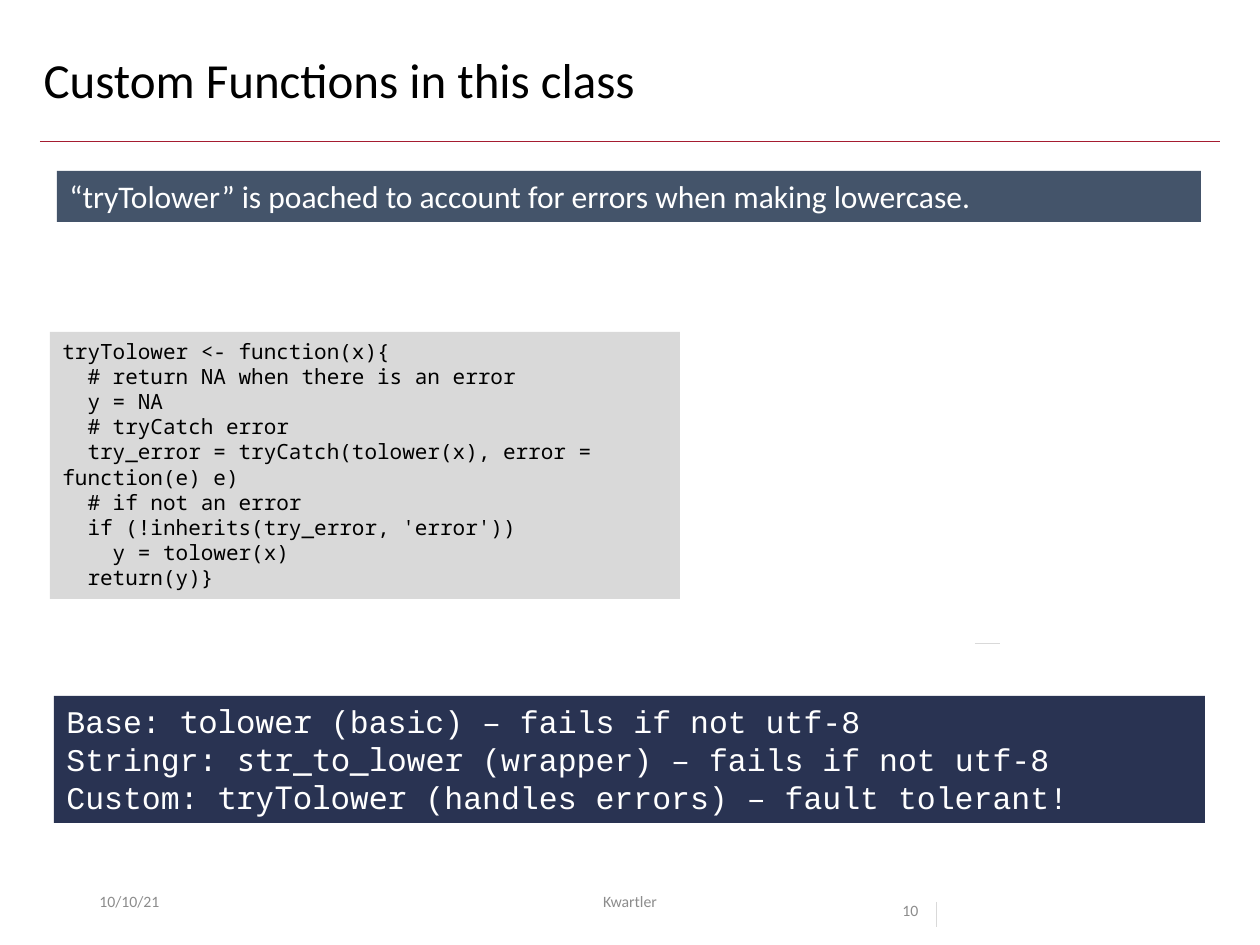
from lxml.etree import SubElement
from pptx import Presentation
from pptx.dml.color import RGBColor
from pptx.enum.shapes import MSO_CONNECTOR, MSO_SHAPE
from pptx.enum.text import MSO_ANCHOR, MSO_AUTO_SIZE, PP_ALIGN
from pptx.oxml.ns import qn
from pptx.util import Pt

PX = 914400 // 126
SANS, COURIER, MONO = "Calibri", "Courier New", "Noto Sans Mono"


def color(hex_code):
    return RGBColor.from_string(hex_code)


def write(frame, paragraphs, size, hex_code, align=PP_ALIGN.LEFT, spacing=None):
    """Fill a text frame; each paragraph is a list of (text, font) runs."""
    frame.word_wrap = True
    for i, runs in enumerate(paragraphs):
        paragraph = frame.add_paragraph() if i else frame.paragraphs[0]
        paragraph.alignment = align
        if spacing:
            paragraph.line_spacing = spacing
        for text, font in runs:
            run = paragraph.add_run()
            run.text = text
            run.font.name = font
            run.font.size = Pt(size)
            run.font.color.rgb = color(hex_code)


prs = Presentation()
prs.slide_width, prs.slide_height = 1260 * PX, 945 * PX
slide = prs.slides.add_slide(prs.slide_layouts[5])

# Title
title = slide.shapes.title
title.left, title.top, title.width, title.height = [v * PX for v in (31, 50, 1193, 82)]
title.text_frame.vertical_anchor = MSO_ANCHOR.TOP
title.text_frame.auto_size = MSO_AUTO_SIZE.NONE
write(title.text_frame, [[("Custom Functions in this class", SANS)]], 28, "000000", spacing=0.9)

# Title rule and two short footer ticks
for x1, y1, x2, y2, line_color in [
    (40, 141, 1220, 141, "A51C30"),
    (936, 902, 936, 927, "D9D9D9"),
    (975, 643, 1000, 643, "D9D9D9"),
]:
    rule = slide.shapes.add_connector(MSO_CONNECTOR.STRAIGHT, x1 * PX, y1 * PX, x2 * PX, y2 * PX)
    rule.line.color.rgb = color(line_color)
    rule.line.width = Pt(0.5)
    SubElement(rule._element.spPr, qn("a:effectLst"))

# Panels: code listing, headline and comparison of the three functions
code_lines = [
    "tryTolower <- function(x){",
    "  # return NA when there is an error",
    "  y = NA",
    "  # tryCatch error",
    "  try_error = tryCatch(tolower(x), error = function(e) e)",
    "  # if not an error",
    "  if (!inherits(try_error, 'error'))",
    "    y = tolower(x)",
    "  return(y)}",
]
headline = "“tryTolower” is poached to account for errors when making lowercase. "
functions = [
    ("Base: ", "tolower", " (basic) – fails if not utf-8"),
    ("Stringr: ", "str_to_lower", " (wrapper) – fails if not utf-8"),
    ("Custom: ", "tryTolower", " (handles errors) – fault tolerant!"),
]
panels = [
    ((50, 332, 630, 267), "D9D9D9", [[(line, MONO)] for line in code_lines], 12, "000000"),
    ((57, 171, 1144, 51), "44546A", [[(headline, SANS)]], 18, "FFFFFF"),
    ((54, 696, 1151, 127), "293352",
     [list(zip(parts, (COURIER, MONO, COURIER))) for parts in functions], 18, "FFFFFF"),
]
for box, fill, paragraphs, size, text_color in panels:
    panel = slide.shapes.add_shape(MSO_SHAPE.RECTANGLE, *[v * PX for v in box])
    panel.shadow.inherit = False
    panel.fill.solid()
    panel.fill.fore_color.rgb = color(fill)
    panel.line.fill.background()
    panel.text_frame.vertical_anchor = MSO_ANCHOR.TOP
    panel.text_frame.auto_size = MSO_AUTO_SIZE.SHAPE_TO_FIT_TEXT
    write(panel.text_frame, paragraphs, size, text_color)

# Footer: date, slide number, author
for text, left, width, anchor, align, spacing in [
    ("10/10/21", 87, 284, MSO_ANCHOR.MIDDLE, PP_ALIGN.LEFT, None),
    ("10", 890, 118, MSO_ANCHOR.TOP, PP_ALIGN.LEFT, 2.0),
    ("Kwartler", 417, 426, MSO_ANCHOR.MIDDLE, PP_ALIGN.CENTER, None),
]:
    footer = slide.shapes.add_textbox(left * PX, 876 * PX, width * PX, 50 * PX)
    footer.text_frame.vertical_anchor = anchor
    write(footer.text_frame, [[(text, SANS)]], 9, "8C8C8C", align, spacing)

prs.save("out.pptx")
